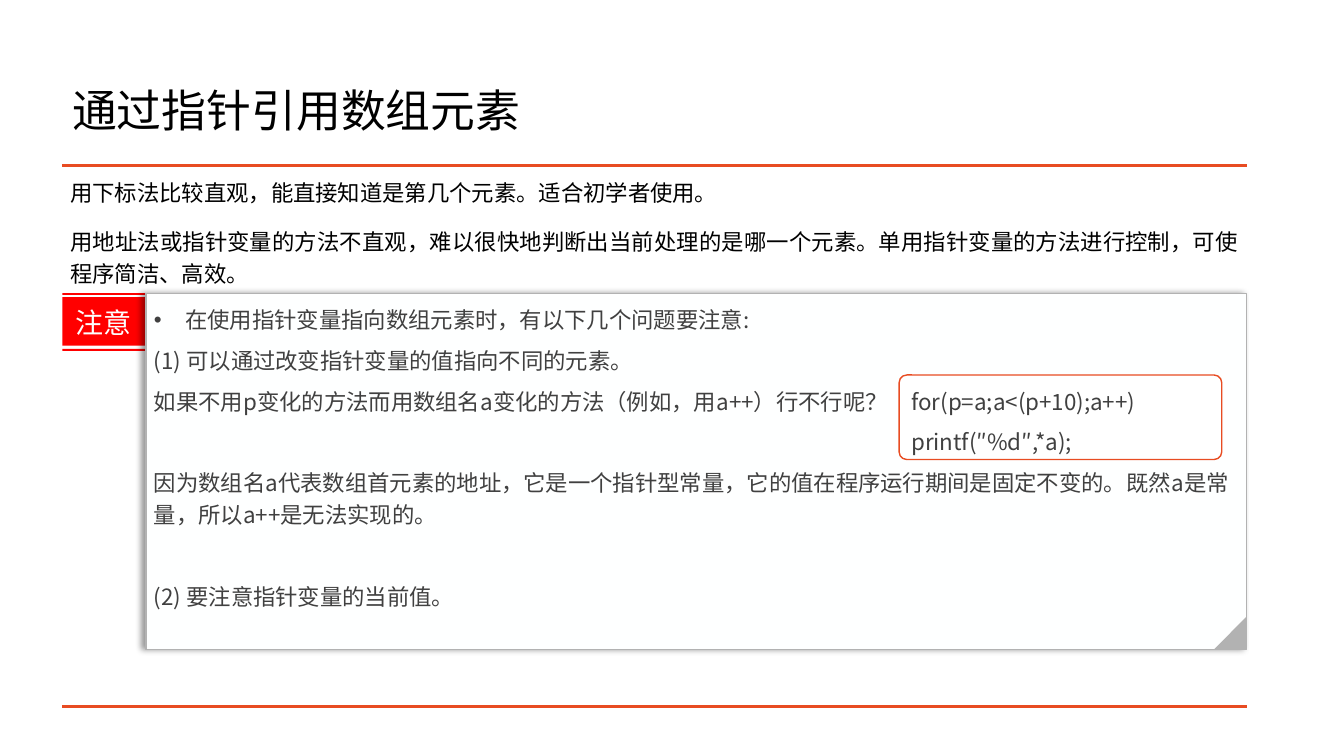
from dataclasses import dataclass, field
from typing import Optional

from lxml import etree
from pptx import Presentation
from pptx.dml.color import RGBColor
from pptx.enum.shapes import MSO_CONNECTOR, MSO_SHAPE
from pptx.enum.text import MSO_ANCHOR, PP_ALIGN
from pptx.oxml.ns import qn
from pptx.util import Cm, Pt

RECTANGLE = MSO_SHAPE.RECTANGLE
ROUNDED = MSO_SHAPE.ROUNDED_RECTANGLE
TRIANGLE = MSO_SHAPE.RIGHT_TRIANGLE
STRAIGHT = MSO_CONNECTOR.STRAIGHT
TOP, MIDDLE = MSO_ANCHOR.TOP, MSO_ANCHOR.MIDDLE
LEFT, CENTER, JUSTIFY = PP_ALIGN.LEFT, PP_ALIGN.CENTER, PP_ALIGN.JUSTIFY

FONT = "Noto Sans CJK SC"
BLACK, GREY, DARK, ORANGE = "000000", "B2B2B2", "404040", "E84C22"
RED, OFF_WHITE, WHITE = "FF0000", "FEFFFF", "FFFFFF"
MARGIN, CONTENT_WIDTH = 1.57, 29.86
RULE_TOPS = (4.17, 17.81)
NOTE_TOP = 7.39
LABEL_RIGHT = 3.66
LABEL_BANDS = ((8.79, 8.84), (7.49, 8.71), (NOTE_TOP, 7.43))
GAP = 6
SKIPPED_LINE = 29.2


@dataclass
class Line:
    text: str
    after: float = GAP
    bullet: bool = False


@dataclass
class TextStyle:
    size: float
    color: str
    spacing: float = 1.2
    align: PP_ALIGN = LEFT
    anchor: MSO_ANCHOR = TOP
    inset: tuple[float, float] = (0.25, 0.13)


@dataclass
class Block:
    left: float
    top: float
    width: float
    height: float
    kind: Optional[MSO_SHAPE] = None
    fill: Optional[str] = None
    outline: Optional[str] = None
    outline_width: float = 1
    corner: Optional[float] = None
    rotation: float = 0
    shadow: bool = False
    style: Optional[TextStyle] = None
    lines: list[Line] = field(default_factory=list)


HEADING = TextStyle(32, BLACK, 0.9, anchor=MIDDLE)
INTRO = TextStyle(16, BLACK, align=JUSTIFY, inset=(0.2, 0.2))
NOTE = TextStyle(16, DARK, inset=(0.2, 0.2))
CODE = TextStyle(16, DARK)
LABEL = TextStyle(20, OFF_WHITE, 1, CENTER, MIDDLE)

TEXTS = [
    Block(MARGIN, 1.52, 29.21, 2.64, style=HEADING,
          lines=[Line("通过指针引用数组元素", 0)]),
    Block(MARGIN, RULE_TOPS[0], CONTENT_WIDTH, 3.2, style=INTRO, lines=[
        Line("用下标法比较直观，能直接知道是第几个元素。适合初学者使用。", 2 * GAP),
        Line("用地址法或指针变量的方法不直观，难以很快地判断出当前处理的是哪一个元素。"
             "单用指针变量的方法进行控制，可使程序简洁、高效。"),
    ]),
]
NOTE_PARTS = [
    Block(3.68, NOTE_TOP, 27.74, 8.97, RECTANGLE, OFF_WHITE, GREY, 0.75,
          shadow=True, style=NOTE, lines=[
              Line("在使用指针变量指向数组元素时，有以下几个问题要注意:", bullet=True),
              Line("(1) 可以通过改变指针变量的值指向不同的元素。"),
              Line("如果不用p变化的方法而用数组名a变化的方法（例如，用a++）行不行呢？",
                   GAP + SKIPPED_LINE),
              Line("因为数组名a代表数组首元素的地址，它是一个指针型常量，"
                   "它的值在程序运行期间是固定不变的。既然a是常量，所以a++是无法实现的。",
                   GAP + SKIPPED_LINE),
              Line("(2) 要注意指针变量的当前值。"),
          ]),
    Block(30.6, 15.53, 0.83, 0.82, TRIANGLE, GREY, rotation=270),
    Block(22.66, 9.45, 8.13, 2.13, ROUNDED, WHITE, ORANGE, corner=0.091,
          style=CODE, lines=[Line("for(p=a;a<(p+10);a++)"), Line("printf(″%d″,*a);")]),
]


def rgb(value: str) -> RGBColor:
    return RGBColor.from_string(value)


def apply(target, values: dict) -> None:
    for name, value in values.items():
        setattr(target, name, value)


def add_bullet(paragraph) -> None:
    properties = paragraph._p.get_or_add_pPr()
    properties.set("marL", str(Cm(0.79)))
    properties.set("indent", str(Cm(-0.79)))
    etree.SubElement(properties, qn("a:buFont"), typeface="Arial")
    etree.SubElement(properties, qn("a:buChar"), char="•")


def write(shape, style: TextStyle, lines: list[Line]) -> None:
    frame = shape.text_frame
    side, edge = (Cm(inset) for inset in style.inset)
    apply(frame, {"word_wrap": True, "vertical_anchor": style.anchor,
                  "margin_left": side, "margin_right": side,
                  "margin_top": edge, "margin_bottom": edge})
    for index, line in enumerate(lines):
        paragraph = frame.add_paragraph() if index else frame.paragraphs[0]
        if line.bullet:
            add_bullet(paragraph)
        apply(paragraph, {"alignment": style.align, "line_spacing": style.spacing,
                          "space_before": Pt(0), "space_after": Pt(line.after)})
        run = paragraph.add_run()
        run.text = line.text
        apply(run.font, {"name": FONT, "size": Pt(style.size)})
        run.font.color.rgb = rgb(style.color)
        etree.SubElement(run._r.get_or_add_rPr(), qn("a:ea"), typeface=FONT)


def paint(shape, fill: str, outline: Optional[str] = None, width: float = 1) -> None:
    shape.shadow.inherit = False
    shape.fill.solid()
    shape.fill.fore_color.rgb = rgb(fill)
    if outline:
        shape.line.color.rgb = rgb(outline)
        shape.line.width = Pt(width)
    else:
        shape.line.fill.background()


def cast_shadow(shape) -> None:
    effects = shape._element.spPr.find(qn("a:effectLst"))
    outer = etree.SubElement(effects, qn("a:outerShdw"), blurRad=str(Pt(4)),
                             dist=str(Pt(3)), dir="10800000", rotWithShape="0")
    tint = etree.SubElement(outer, qn("a:srgbClr"), val=BLACK)
    etree.SubElement(tint, qn("a:alpha"), val="40000")


def draw_block(shapes, block: Block) -> None:
    place = [Cm(v) for v in (block.left, block.top, block.width, block.height)]
    if block.kind is None:
        shape = shapes.add_textbox(*place)
    else:
        shape = shapes.add_shape(block.kind, *place)
        paint(shape, block.fill, block.outline, block.outline_width)
        shape.rotation = block.rotation
    if block.corner is not None:
        shape.adjustments[0] = block.corner
    if block.shadow:
        cast_shadow(shape)
    if block.style:
        write(shape, block.style, block.lines)


def draw_rule(shapes, top: float) -> None:
    rule = shapes.add_connector(STRAIGHT, Cm(MARGIN), Cm(top),
                                Cm(MARGIN + CONTENT_WIDTH), Cm(top))
    rule.line.color.rgb = rgb(ORANGE)
    rule.line.width = Pt(2)
    etree.SubElement(rule._element.spPr, qn("a:effectLst"))


def draw_label(shapes) -> None:
    left, right = Cm(MARGIN), Cm(LABEL_RIGHT)
    builder = shapes.build_freeform(left, Cm(LABEL_BANDS[0][0]))
    for index, (upper, lower) in enumerate(LABEL_BANDS):
        top, bottom = Cm(upper), Cm(lower)
        if index:
            builder.move_to(left, top)
        builder.add_line_segments([(right, top), (right, bottom), (left, bottom)], close=True)
    label = builder.convert_to_shape()
    paint(label, RED)
    write(label, LABEL, [Line("注意", 0)])


def main() -> None:
    deck = Presentation()
    apply(deck, {"slide_width": Cm(33.87), "slide_height": Cm(19.05)})
    shapes = deck.slides.add_slide(deck.slide_layouts[6]).shapes
    for block in TEXTS:
        draw_block(shapes, block)
    for top in RULE_TOPS:
        draw_rule(shapes, top)
    draw_label(shapes)
    for block in NOTE_PARTS:
        draw_block(shapes, block)
    deck.save("out.pptx")


if __name__ == "__main__":
    main()
